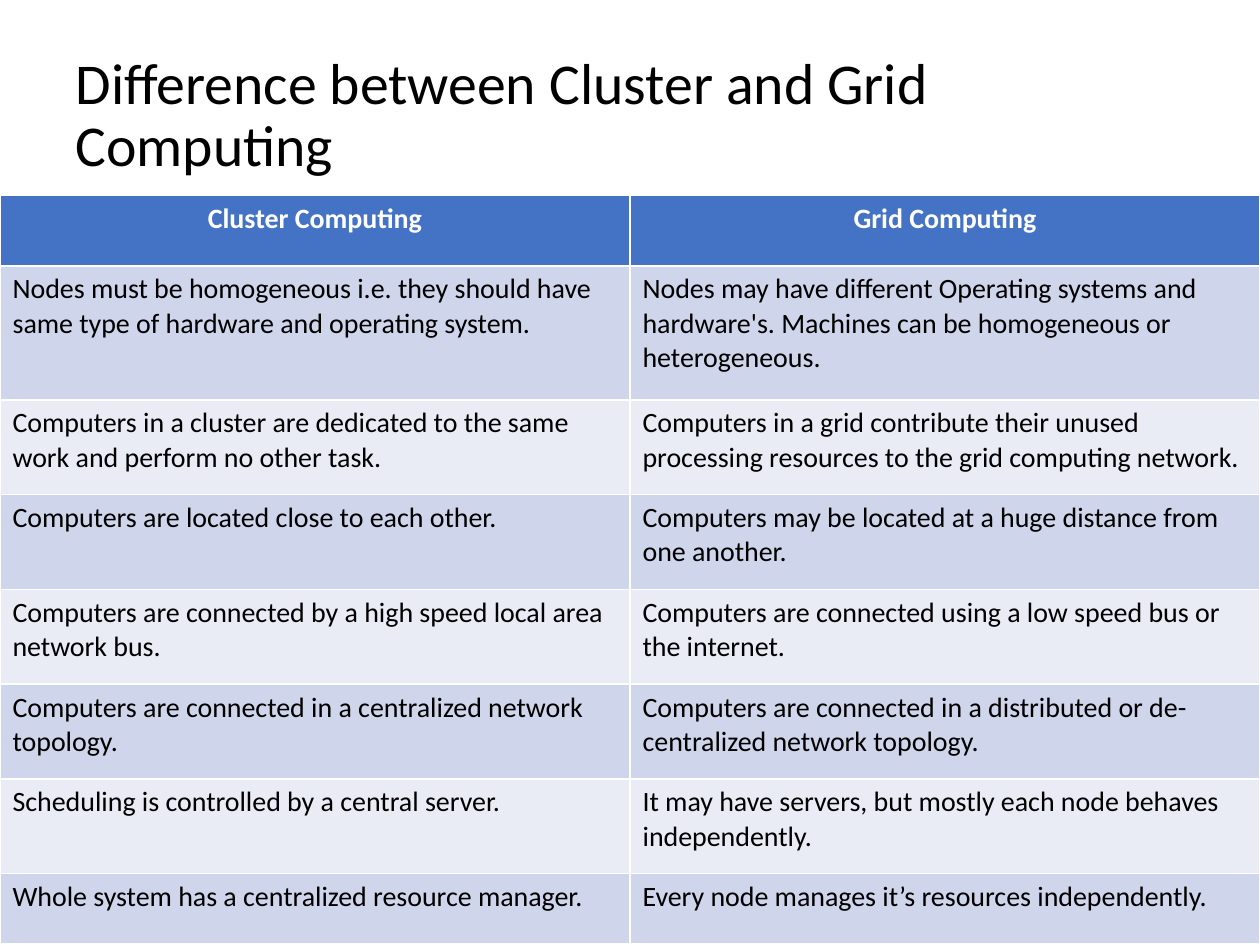
from pptx import Presentation
from pptx.dml.color import RGBColor
from pptx.enum.text import MSO_ANCHOR, MSO_AUTO_SIZE, PP_ALIGN
from pptx.util import Cm, Pt

COLORS = {
    "header": "4472C4",
    "odd_row": "CFD5EA",
    "even_row": "E9EBF5",
    "text": "000000",
    "header_text": "FFFFFF",
}
ROWS = [
    ("Cluster Computing", "Grid Computing"),
    ("Nodes must be homogeneous i.e. they should have same type of hardware and operating system.",
     "Nodes may have different Operating systems and hardware's. Machines can be homogeneous or heterogeneous."),
    ("Computers in a cluster are dedicated to the same work and perform no other task.",
     "Computers in a grid contribute their unused processing resources to the grid computing network."),
    ("Computers are located close to each other.",
     "Computers may be located at a huge distance from one another."),
    ("Computers are connected by a high speed local area network bus.",
     "Computers are connected using a low speed bus or the internet."),
    ("Computers are connected in a centralized network topology.",
     "Computers are connected in a distributed or de-centralized network topology."),
    ("Scheduling is controlled by a central server.",
     "It may have servers, but mostly each node behaves independently."),
    ("Whole system has a centralized resource manager.",
     "Every node manages it’s resources independently."),
]
ROW_HEIGHTS = [1.42, 2.7] + [1.91] * 5 + [1.42]


def add_run(paragraph, text, size, color, bold=False):
    run = paragraph.add_run()
    run.text = text
    run.font.name = "Calibri"
    run.font.size = Pt(size)
    run.font.bold = bold
    run.font.color.rgb = RGBColor.from_string(COLORS[color])


presentation = Presentation()
presentation.slide_width = Cm(25.4)
presentation.slide_height = Cm(19.05)
slide = presentation.slides.add_slide(presentation.slide_layouts[5])

title = slide.shapes.title
title.left, title.top, title.width, title.height = Cm(1.27), Cm(0.76), Cm(22.86), Cm(3.18)
title.text_frame.word_wrap = True
title.text_frame.auto_size = MSO_AUTO_SIZE.NONE
title.text_frame.vertical_anchor = MSO_ANCHOR.MIDDLE
paragraph = title.text_frame.paragraphs[0]
paragraph.alignment = PP_ALIGN.LEFT
paragraph.line_spacing = 0.9
add_run(paragraph, "Difference between Cluster and Grid Computing", 33, "text")

table = slide.shapes.add_table(
    len(ROWS), 2, Cm(0), Cm(3.94), Cm(25.4), Cm(sum(ROW_HEIGHTS))
).table
for row_index, (texts, height) in enumerate(zip(ROWS, ROW_HEIGHTS)):
    table.rows[row_index].height = Cm(height)
    is_header = row_index == 0
    fill = "header" if is_header else "odd_row" if row_index % 2 else "even_row"
    for column_index, text in enumerate(texts):
        cell = table.cell(row_index, column_index)
        cell.fill.solid()
        cell.fill.fore_color.rgb = RGBColor.from_string(COLORS[fill])
        paragraph = cell.text_frame.paragraphs[0]
        paragraph.alignment = PP_ALIGN.CENTER if is_header else PP_ALIGN.LEFT
        add_run(paragraph, text, 16, "header_text" if is_header else "text", is_header)

presentation.save("out.pptx")
